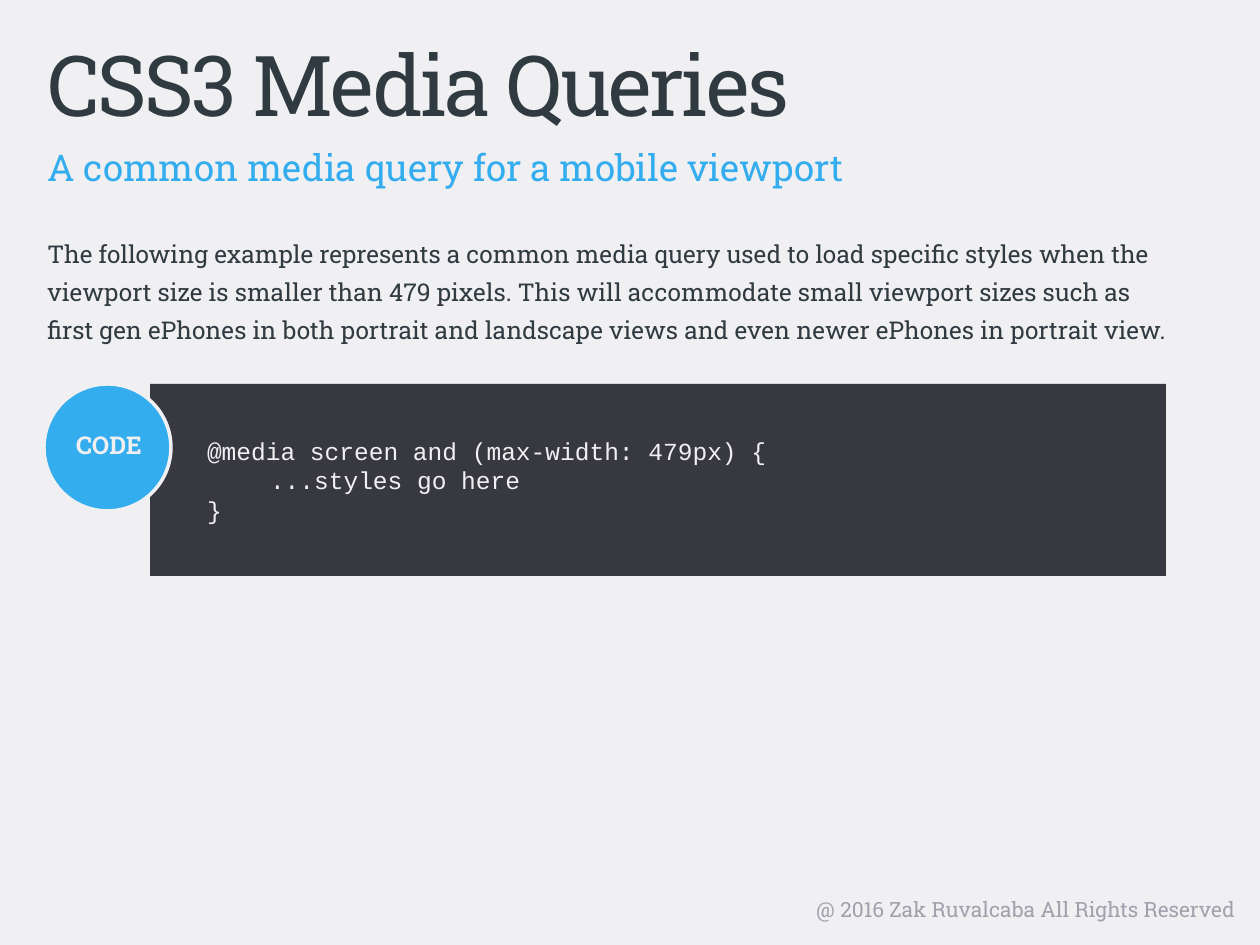
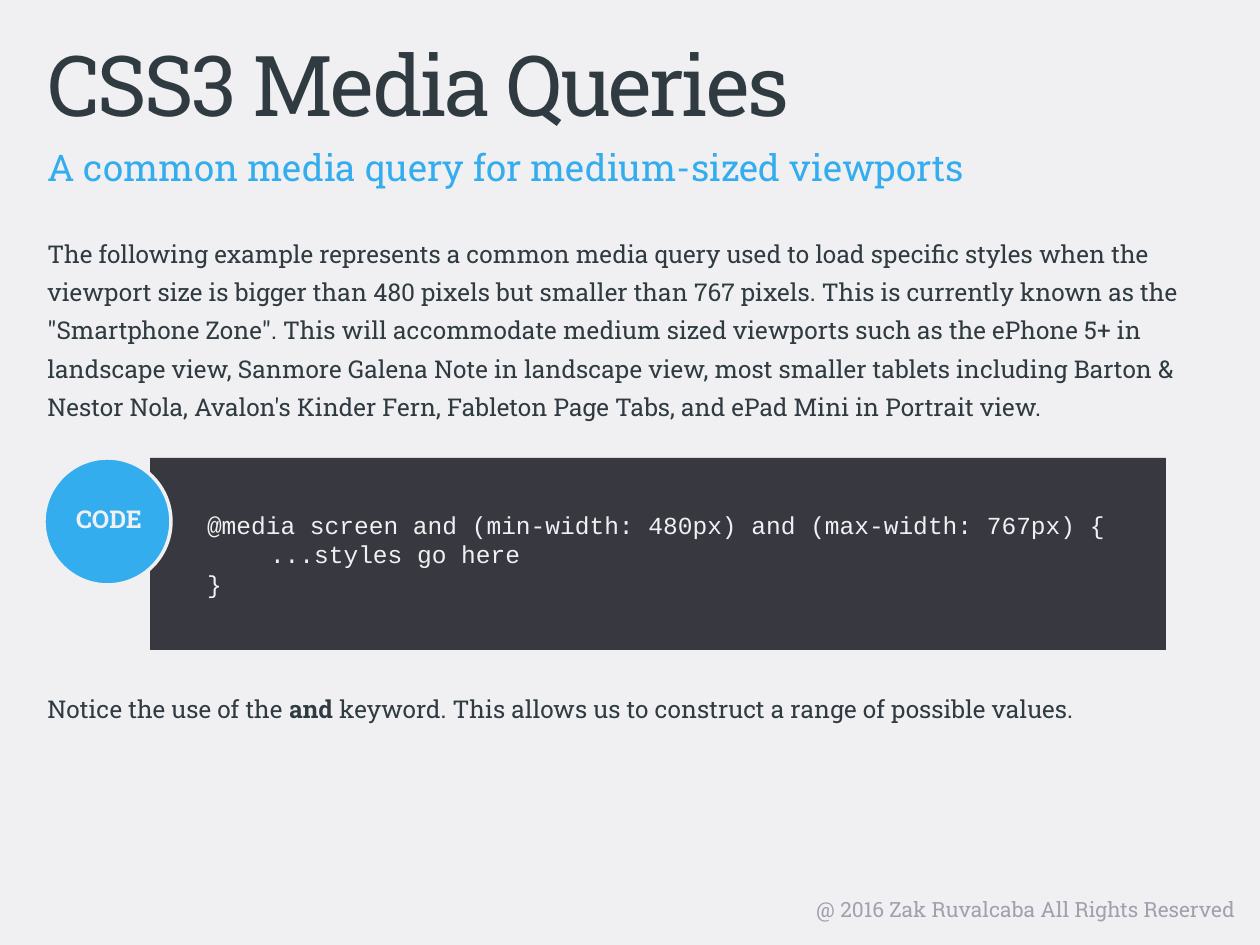
from pptx import Presentation
from pptx.dml.color import RGBColor
from pptx.enum.shapes import MSO_SHAPE
from pptx.enum.text import MSO_ANCHOR, PP_ALIGN
from pptx.util import Emu, Pt

RECTANGLE, OVAL = MSO_SHAPE.RECTANGLE, MSO_SHAPE.OVAL
MIDDLE = MSO_ANCHOR.MIDDLE
LEFT, CENTER, RIGHT = PP_ALIGN.LEFT, PP_ALIGN.CENTER, PP_ALIGN.RIGHT

COLORS = {
    "paper": "F0F0F2",
    "ink": "303B41",
    "accent": "34ADEF",
    "code": "383841",
    "footer": "A1A1AD",
}
TEXT_FONT, CODE_FONT = "Roboto Slab", "Courier New"
EMU_PER_PX = 914400 / 126
SLIDE_SIZE = (1260, 945)
BODY_SPACING = 1.3

# Boxes are left, top, width, height in px
TITLE_BOX = (35, 26, 1111, 100)
SUBTITLE_BOX = (35, 125, 1111, 49)
BODY_BOX = (35, 224, 1160, 645)
FOOTER_BOX = (643, 890, 605, 39)
CODE_LEFT, CODE_WIDTH, CODE_HEIGHT = 44, 1122, 192

TITLE = "CSS3 Media Queries"
FOOTER = "@ 2016 Zak Ruvalcaba All Rights Reserved"
INTRO = ("The following example represents a common media query used to load "
         "specific styles when the viewport size is ")

# Each body paragraph: space before in points, then (text, bold) runs
SLIDES = [
    {
        "subtitle": "A common media query for a mobile viewport",
        "body": [
            (0, [(INTRO + "smaller than 479 pixels. This will accommodate small "
                  "viewport sizes such as first gen ePhones in both portrait and "
                  "landscape views and even newer ePhones in portrait view.", False)]),
        ],
        "code_top": 384,
        "query": "@media screen and (max-width: 479px) {",
    },
    {
        "subtitle": "A common media query for medium-sized viewports",
        "body": [
            (0, [(INTRO + "bigger than 480 pixels but smaller than 767 pixels. This is "
                  "currently known as the \"Smartphone Zone\". This will accommodate "
                  "medium sized viewports such as the ePhone 5+ in landscape view, "
                  "Sanmore Galena Note in landscape view, most smaller tablets "
                  "including Barton & Nestor Nola, Avalon's Kinder Fern, Fableton "
                  "Page Tabs, and ePad Mini in Portrait view.", False)]),
            (151, [("Notice the use of the ", False), ("and", True),
                   (" keyword. This allows us to construct a range of possible "
                    "values.", False)]),
        ],
        "code_top": 458,
        "query": "@media screen and (min-width: 480px) and (max-width: 767px) {",
    },
]


def px(length):
    return Emu(round(length * EMU_PER_PX))


def color(name):
    return RGBColor.from_string(COLORS[name])


def add_run(paragraph, text, size, color_name, font=TEXT_FONT, bold=False):
    run = paragraph.add_run()
    run.text = text
    run.font.name = font
    run.font.size = Pt(size)
    run.font.bold = bold
    run.font.color.rgb = color(color_name)
    return run


def add_text_box(slide, box):
    frame = slide.shapes.add_textbox(*map(px, box)).text_frame
    frame.word_wrap = True
    return frame


def add_line(slide, box, text, size, color_name, align=LEFT, bold=False):
    paragraph = add_text_box(slide, box).paragraphs[0]
    paragraph.alignment = align
    return paragraph, add_run(paragraph, text, size, color_name, bold=bold)


def add_filled_shape(slide, kind, box, fill):
    shape = slide.shapes.add_shape(kind, *map(px, box))
    shape.shadow.inherit = False
    shape.fill.solid()
    shape.fill.fore_color.rgb = color(fill)
    shape.line.fill.background()
    return shape


def add_paragraphs(frame, count):
    return [frame.paragraphs[0]] + [frame.add_paragraph() for _ in range(count - 1)]


def add_frame(slide, subtitle):
    """Background, heading and footer shared by every slide."""
    slide.background.fill.solid()
    slide.background.fill.fore_color.rgb = color("paper")
    add_line(slide, FOOTER_BOX, FOOTER, 12, "footer", RIGHT)
    _, title_run = add_line(slide, TITLE_BOX, TITLE, 48, "ink")
    title_run._r.get_or_add_rPr().set("spc", "-150")
    paragraph, _ = add_line(slide, SUBTITLE_BOX, subtitle, 21, "accent")
    paragraph.line_spacing = BODY_SPACING


def add_body(slide, box, body):
    paragraphs = add_paragraphs(add_text_box(slide, box), len(body))
    for paragraph, (space_before, runs) in zip(paragraphs, body):
        paragraph.line_spacing = BODY_SPACING
        paragraph.space_before = Pt(space_before)
        for text, bold in runs:
            add_run(paragraph, text, 14, "ink", bold=bold)


def add_code_panel(slide, box, query):
    left, top, width, height = box
    # Dark code block
    indent = 106
    panel = add_filled_shape(
        slide, RECTANGLE, (left + indent, top, width - indent, height), "code")
    frame = panel.text_frame
    frame.word_wrap = True
    frame.vertical_anchor = MIDDLE
    frame.margin_left, frame.margin_right = px(57), px(14)
    frame.margin_top = frame.margin_bottom = px(8)
    lines = [query, "\t...styles go here", "}"]
    for paragraph, line in zip(add_paragraphs(frame, len(lines)), lines):
        paragraph.alignment = LEFT
        add_run(paragraph, line, 14, "paper", CODE_FONT)
    # Round badge
    badge = add_filled_shape(slide, OVAL, (left, top, 127, 127), "accent")
    badge.line.color.rgb = color("paper")
    badge.line.width = Pt(2)
    add_line(slide, (left + 10, top + 40, 110, 43), "CODE", 14, "paper", CENTER, True)


def main():
    presentation = Presentation()
    presentation.slide_width, presentation.slide_height = map(px, SLIDE_SIZE)
    blank = presentation.slide_layouts[6]
    for content in SLIDES:
        slide = presentation.slides.add_slide(blank)
        add_frame(slide, content["subtitle"])
        add_body(slide, BODY_BOX, content["body"])
        code_box = (CODE_LEFT, content["code_top"], CODE_WIDTH, CODE_HEIGHT)
        add_code_panel(slide, code_box, content["query"])
    presentation.save("out.pptx")


if __name__ == "__main__":
    main()
